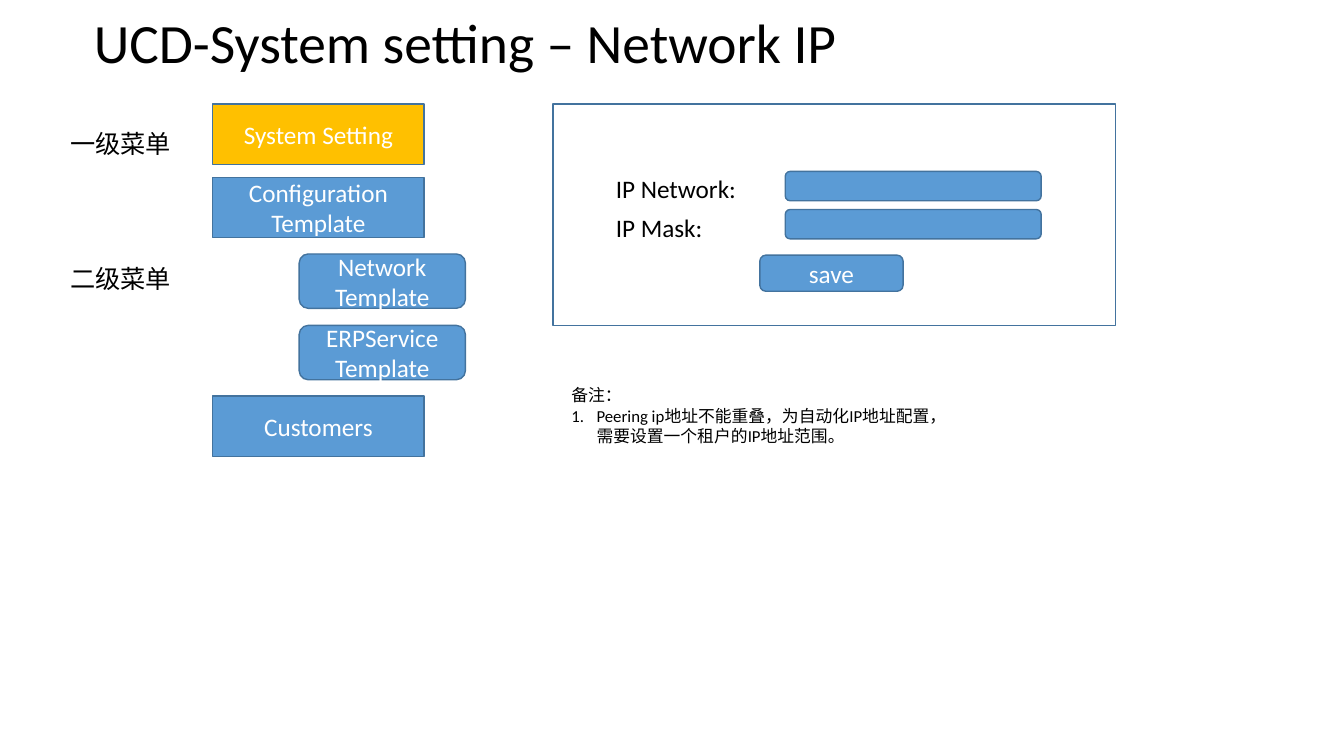
"""Build the Network IP settings slide: menu tree, input form and remark."""
import pptx
import pptx.util
import pptx.dml.color
import pptx.enum.shapes
import pptx.enum.text
import lxml.etree

Cm, Pt = pptx.util.Cm, pptx.util.Pt
MSO = pptx.enum.shapes.MSO_SHAPE
ANCHOR = pptx.enum.text.MSO_ANCHOR
ALIGN = pptx.enum.text.PP_ALIGN
FIT = pptx.enum.text.MSO_AUTO_SIZE
BLUE, AMBER, EDGE = "5B9BD5", "FFC000", "43739E"


def paint(fmt, color):
    fmt.solid()
    fmt.fore_color.rgb = pptx.dml.color.RGBColor.from_string(color)


def write(s, lines, size, color, frame, para):
    tf = s.text_frame
    for name, value in frame.items():
        setattr(tf, name, value)
    for i, line in enumerate(lines):
        p = tf.paragraphs[0] if i == 0 else tf.add_paragraph()
        for name, value in para.items():
            setattr(p, name, value)
        r = p.add_run()
        r.text = line
        for name, value in {"name": "Calibri", "size": Pt(size)}.items():
            setattr(r.font, name, value)
        paint(r.font.fill, color)


prs = pptx.Presentation()
prs.slide_width, prs.slide_height = Cm(33.87), Cm(19.05)
slide = prs.slides.add_slide(prs.slide_layouts[5])

title = slide.shapes.title
box = {"left": 2.11, "top": 0.3, "width": 29.21, "height": 1.68}
for name, value in box.items():
    setattr(title, name, Cm(value))
write(title, ["UCD-System setting – Network IP"], 39.6, "000000",
      {"auto_size": FIT.NONE, "vertical_anchor": ANCHOR.MIDDLE, "word_wrap": True},
      {"alignment": ALIGN.LEFT, "line_spacing": 0.9})

menu = (5.36, 5.33, 1.52, MSO.RECTANGLE)
submenu = (7.54, 4.19, 1.37, MSO.ROUNDED_RECTANGLE)
field = (19.79, 6.45, 0.74, MSO.ROUNDED_RECTANGLE)
button = (19.15, 3.61, 0.91, MSO.ROUNDED_RECTANGLE)
panel = (13.94, 14.17, 5.59, MSO.RECTANGLE)
shapes = [
    (menu, 2.62, AMBER, "System Setting"),
    (menu, 4.47, BLUE, "Configuration Template"),
    (submenu, 6.4, BLUE, "Network Template"),
    (submenu, 8.2, BLUE, "ERPService Template"),
    (menu, 9.98, BLUE, "Customers"),
    (field, 4.32, BLUE, ""),
    (button, 6.43, BLUE, "save"),
    (panel, 2.62, None, ""),
    (field, 5.28, BLUE, ""),
]
for (left, width, height, kind), top, fill, text in shapes:
    s = slide.shapes.add_shape(kind, Cm(left), Cm(top), Cm(width), Cm(height))
    s.shadow.inherit = False
    if fill:
        paint(s.fill, fill)
    else:
        s.fill.background()
    paint(s.line.fill, EDGE)
    s.line.width = Pt(1)
    if text:
        write(s, [text], 18, "FFFFFF",
              {"vertical_anchor": ANCHOR.MIDDLE, "word_wrap": True},
              {"alignment": ALIGN.CENTER})

labels = [
    (1.52, 3.1, 3.07, "一级菜单"),
    (1.52, 6.5, 3.07, "二级菜单"),
    (15.27, 4.24, 3.71, "IP Network:"),
    (15.27, 5.23, 2.87, "IP Mask:"),
]
for left, top, width, text in labels:
    s = slide.shapes.add_textbox(Cm(left), Cm(top), Cm(width), Cm(1.02))
    write(s, [text], 18, "000000",
          {"word_wrap": False, "auto_size": FIT.SHAPE_TO_FIT_TEXT}, {})

note = slide.shapes.add_textbox(Cm(14.15), Cm(9.58), Cm(10.01), Cm(2.31))
write(note, ["备注：", "Peering ip地址不能重叠，为自动化IP地址配置，需要设置一个租户的IP地址范围。"],
      12, "000000", {"word_wrap": True, "auto_size": FIT.SHAPE_TO_FIT_TEXT}, {})
pPr = note.text_frame.paragraphs[1]._p.get_or_add_pPr()
for name, value in {"marL": Cm(0.635), "indent": -Cm(0.635)}.items():
    pPr.set(name, str(int(value)))
number = lxml.etree.SubElement(pPr, pptx.oxml.ns.qn("a:buAutoNum"))
number.set("type", "arabicPeriod")

prs.save("out.pptx")
